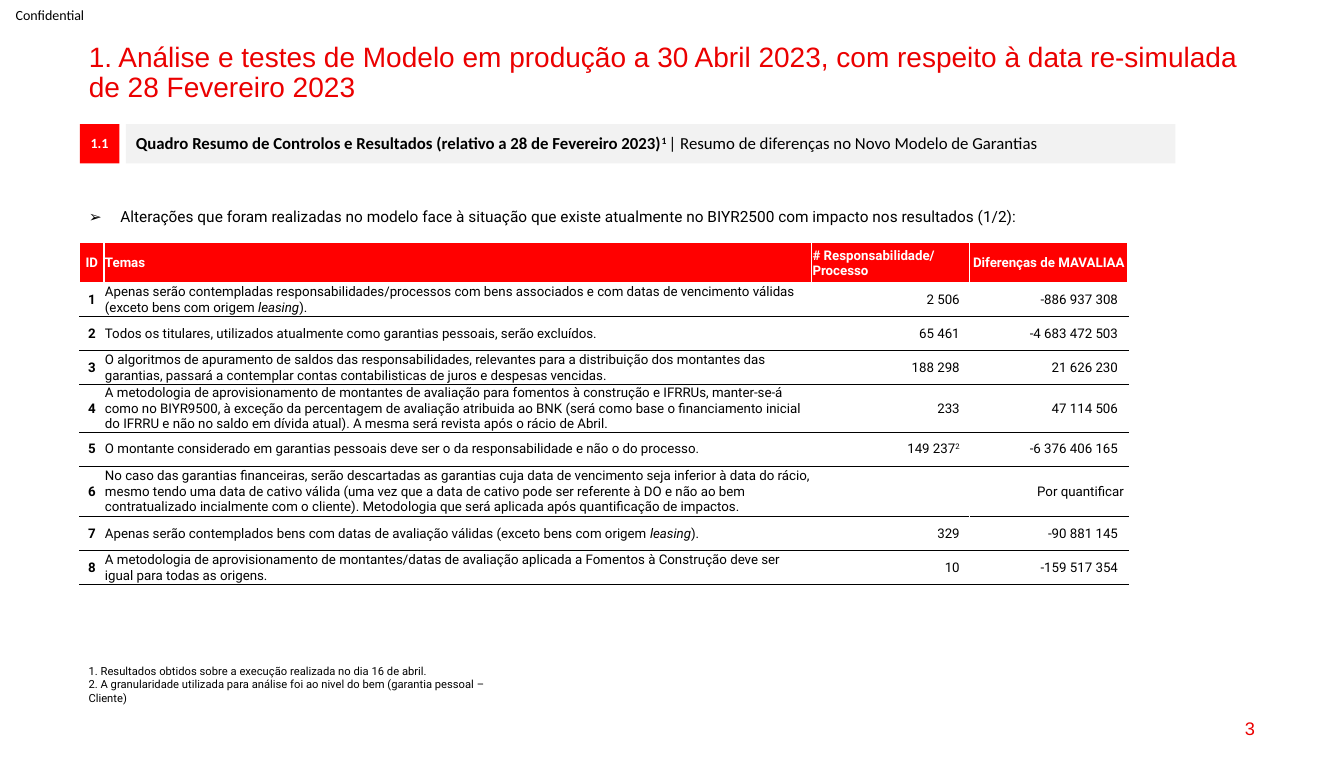
import lxml.etree
import pptx
import pptx.dml.color
import pptx.enum.shapes
import pptx.enum.text
import pptx.oxml.ns
import pptx.util

HEADING = "1. Análise e testes de Modelo em produção a 30 Abril 2023, com respeito à data re-simulada de 28 Fevereiro 2023"
SECTION_NUMBER = "1.1"
SECTION_TITLE = [
    ("Quadro Resumo de Controlos e Resultados (relativo a 28 de Fevereiro 2023)", "bold"),
    ("1 ", "bold superscript"),
    ("| Resumo de diferenças no Novo Modelo de Garantias", ""),
]
INTRODUCTION = "Alterações que foram realizadas no modelo face à situação que existe atualmente no BIYR2500 com impacto nos resultados (1/2):"
HEADER = ["ID", "Temas", "# Responsabilidade/ Processo", "Diferenças de MAVALIAA"]
TOPICS = [
    ([("Apenas serão contempladas responsabilidades/processos com bens associados e com datas de vencimento válidas (exceto bens com origem ", ""),
      ("leasing", "italic"), (").", "")], "2 506", "-886 937 308"),
    ("Todos os titulares, utilizados atualmente como garantias pessoais, serão excluídos.", "65 461", "-4 683 472 503"),
    ("O algoritmos de apuramento de saldos das responsabilidades, relevantes para a distribuição dos montantes das garantias, passará a contemplar contas contabilisticas de juros e despesas vencidas.",
     "188 298", "21 626 230"),
    ("A metodologia de aprovisionamento de montantes de avaliação para fomentos à construção e IFRRUs, manter-se-á como no BIYR9500, à exceção da percentagem de avaliação atribuida ao BNK (será como base o financiamento inicial do IFRRU e não no saldo em dívida atual). A mesma será revista após o rácio de Abril.",
     "233", "47 114 506"),
    ("O montante considerado em garantias pessoais deve ser o da responsabilidade e não o do processo.",
     [("149 237", ""), ("2", "superscript")], "-6 376 406 165"),
    ("No caso das garantias financeiras, serão descartadas as garantias cuja data de vencimento seja inferior à data do rácio, mesmo tendo uma data de cativo válida (uma vez que a data de cativo pode ser referente à DO e não ao bem contratualizado incialmente com o cliente). Metodologia que será aplicada após quantificação de impactos.",
     "Por quantificar", None),
    ([("Apenas serão contemplados bens com datas de avaliação válidas (exceto bens com origem ", ""),
      ("leasing", "italic"), (").", "")], "329", "-90 881 145"),
    ("A metodologia de aprovisionamento de montantes/datas de avaliação aplicada a Fomentos à Construção deve ser igual para todas as origens.",
     "10", "-159 517 354"),
]
FOOTNOTES = [
    "1. Resultados obtidos sobre a execução realizada no dia 16 de abril.",
    "2. A granularidade utilizada para análise foi ao nivel do bem (garantia pessoal – Cliente)",
]

THEME = {
    "heading": ("Arial", 20, "EB0000"),
    "page": ("Arial", 13, "EB0000"),
    "label": ("Calibri", 10, "000000"),
    "number": ("Calibri", 10, "FFFFFF"),
    "section": ("Calibri", 12, "000000"),
    "introduction": ("Roboto", 11, "000000"),
    "header": ("Roboto", 9.5, "FFFFFF"),
    "cell": ("Roboto", 9.5, "000000"),
    "footnote": ("Roboto", 8, "000000"),
    "red": "FF0000",
    "grey": "F2F2F2",
    "white": "FFFFFF",
    "black": "000000",
}

Pt = pptx.util.Pt
Align = pptx.enum.text.PP_ALIGN
Anchor = pptx.enum.text.MSO_ANCHOR
COLUMN_WIDTHS = [17.28, 505.44, 113.04, 113.04]
COLUMN_ALIGNMENTS = [Align.CENTER, Align.LEFT, Align.RIGHT, Align.RIGHT]
HEADER_ALIGNMENTS = [Align.CENTER, Align.LEFT, Align.LEFT, Align.CENTER]
HEADER_HEIGHT, ROW_HEIGHT, MERGED_ROW_HEIGHT = 28.4, 24.3, 36
TABLE_LEFT, TABLE_TOP = 57, 173.5
TEXT_LEFT = 56.2
BAND_TOP, BAND_HEIGHT = 88.6, 28.2
WHITE_LINE, BLACK_LINE = (THEME["white"], 1), (THEME["black"], 0.5)


def color(value):
    return pptx.dml.color.RGBColor.from_string(value)


def set_all(target, formats):
    for name, value in formats.items():
        setattr(target, name, value)


def place(shape, left, top, width, height):
    set_all(shape, dict(left=Pt(left), top=Pt(top), width=Pt(width), height=Pt(height)))


def write(paragraph, content, style, bold=False, **formats):
    set_all(paragraph, formats)
    family, size, ink = THEME[style]
    for text, marks in [(content, "")] if isinstance(content, str) else content:
        run = paragraph.add_run()
        run.text = text
        set_all(run.font, dict(name=family, size=Pt(size), bold=bold or "bold" in marks, italic="italic" in marks))
        run.font.color.rgb = color(ink)
        if "superscript" in marks:
            run.font._element.set("baseline", "30000")


def set_frame(frame, anchor, margin=None):
    set_all(frame, dict(word_wrap=True, auto_size=pptx.enum.text.MSO_AUTO_SIZE.NONE, vertical_anchor=anchor))
    if margin is not None:
        set_all(frame, {f"margin_{side}": Pt(margin) for side in ("left", "top", "right", "bottom")})
    return frame


def add_text(slide, position, contents, style, margin=None, **formats):
    shape = slide.shapes.add_textbox(*map(Pt, position))
    frame = set_frame(shape.text_frame, Anchor.MIDDLE, margin)
    for index, content in enumerate(contents):
        paragraph = frame.add_paragraph() if index else frame.paragraphs[0]
        write(paragraph, content, style, **formats)


def add_band(slide, left, width, fill, content, style, **formats):
    shape = slide.shapes.add_shape(pptx.enum.shapes.MSO_SHAPE.RECTANGLE, *map(Pt, (left, BAND_TOP, width, BAND_HEIGHT)))
    shape.shadow.inherit = False
    shape.fill.solid()
    shape.fill.fore_color.rgb = color(fill)
    shape.line.fill.background()
    frame = set_frame(shape.text_frame, Anchor.MIDDLE)
    write(frame.paragraphs[0], content, style, line_spacing=0.9, **formats)


def add_element(parent, tag, **attributes):
    return lxml.etree.SubElement(parent, pptx.oxml.ns.qn(tag), attributes)


def set_borders(cell, top, bottom):
    properties = cell._tc.get_or_add_tcPr()
    for side, (ink, width) in dict(L=WHITE_LINE, R=WHITE_LINE, T=top, B=bottom).items():
        line = add_element(properties, f"a:ln{side}", w=str(Pt(width)))
        add_element(add_element(line, "a:solidFill"), "a:srgbClr", val=ink)


def add_topics_table(slide):
    rows = [HEADER] + [(str(number), *topic) for number, topic in enumerate(TOPICS, 1)]
    heights = [HEADER_HEIGHT] + [MERGED_ROW_HEIGHT if topic[-1] is None else ROW_HEIGHT for topic in TOPICS]
    frame = slide.shapes.add_table(len(rows), len(HEADER), *map(Pt, (TABLE_LEFT, TABLE_TOP, sum(COLUMN_WIDTHS), sum(heights))))
    table = frame.table
    table.horz_banding = False
    for column, width in zip(table.columns, COLUMN_WIDTHS):
        column.width = Pt(width)
    for row_index, (row, height) in enumerate(zip(rows, heights)):
        table.rows[row_index].height = Pt(height)
        is_header = row_index == 0
        merged = row[-1] is None
        for column_index, content in enumerate(row):
            cell = table.cell(row_index, column_index)
            is_value = not is_header and column_index > 1
            right = 0.72 if not is_value else 3 if merged else 7.2
            set_all(cell, dict(margin_left=Pt(0.72), margin_top=Pt(0.72), margin_right=Pt(right),
                               margin_bottom=0, vertical_anchor=Anchor.MIDDLE))
            set_borders(cell, WHITE_LINE if row_index < 2 else BLACK_LINE, WHITE_LINE if is_header else BLACK_LINE)
            if is_header:
                cell.fill.solid()
                cell.fill.fore_color.rgb = color(THEME["red"])
            else:
                cell.fill.background()
            if content is not None:
                alignments = HEADER_ALIGNMENTS if is_header else COLUMN_ALIGNMENTS
                write(cell.text_frame.paragraphs[0], content, "header" if is_header else "cell",
                      bold=is_header or column_index == 0, alignment=alignments[column_index])
        if merged:
            table.cell(row_index, 2).merge(table.cell(row_index, 3))


def main():
    presentation = pptx.Presentation()
    set_all(presentation, dict(slide_width=Pt(960), slide_height=Pt(558.72)))
    slide = presentation.slides.add_slide(presentation.slide_layouts[1])

    title = slide.shapes.title
    place(title, TEXT_LEFT, 27.4, 847.4, 24.5)
    write(set_frame(title.text_frame, Anchor.TOP).paragraphs[0], HEADING, "heading",
          alignment=Align.LEFT, line_spacing=0.9)

    body = slide.placeholders[1]
    place(body, TEXT_LEFT, 144.7, 783.4, 20.9)
    paragraph = set_frame(body.text_frame, Anchor.TOP).paragraphs[0]
    properties = paragraph._p.get_or_add_pPr()
    set_all(paragraph, dict(space_before=Pt(0)))
    properties.set("marL", str(Pt(22.5)))
    properties.set("indent", str(Pt(-22.5)))
    add_element(properties, "a:buChar", char="➢")
    write(paragraph, INTRODUCTION, "introduction")

    add_text(slide, (0, 0, 71.3, 20.9), ["Confidential"], "label", margin=0, alignment=Align.CENTER)
    add_band(slide, TABLE_LEFT, BAND_HEIGHT, THEME["red"], SECTION_NUMBER, "number", bold=True, alignment=Align.CENTER)
    add_band(slide, 90, 749.5, THEME["grey"], SECTION_TITLE, "section", alignment=Align.LEFT)
    add_topics_table(slide)
    add_text(slide, (TEXT_LEFT, 471, 311.8, 36), FOOTNOTES, "footnote")
    add_text(slide, (687.6, 505.4, 216, 29.5), ["3"], "page", alignment=Align.RIGHT)
    presentation.save("out.pptx")


if __name__ == "__main__":
    main()
